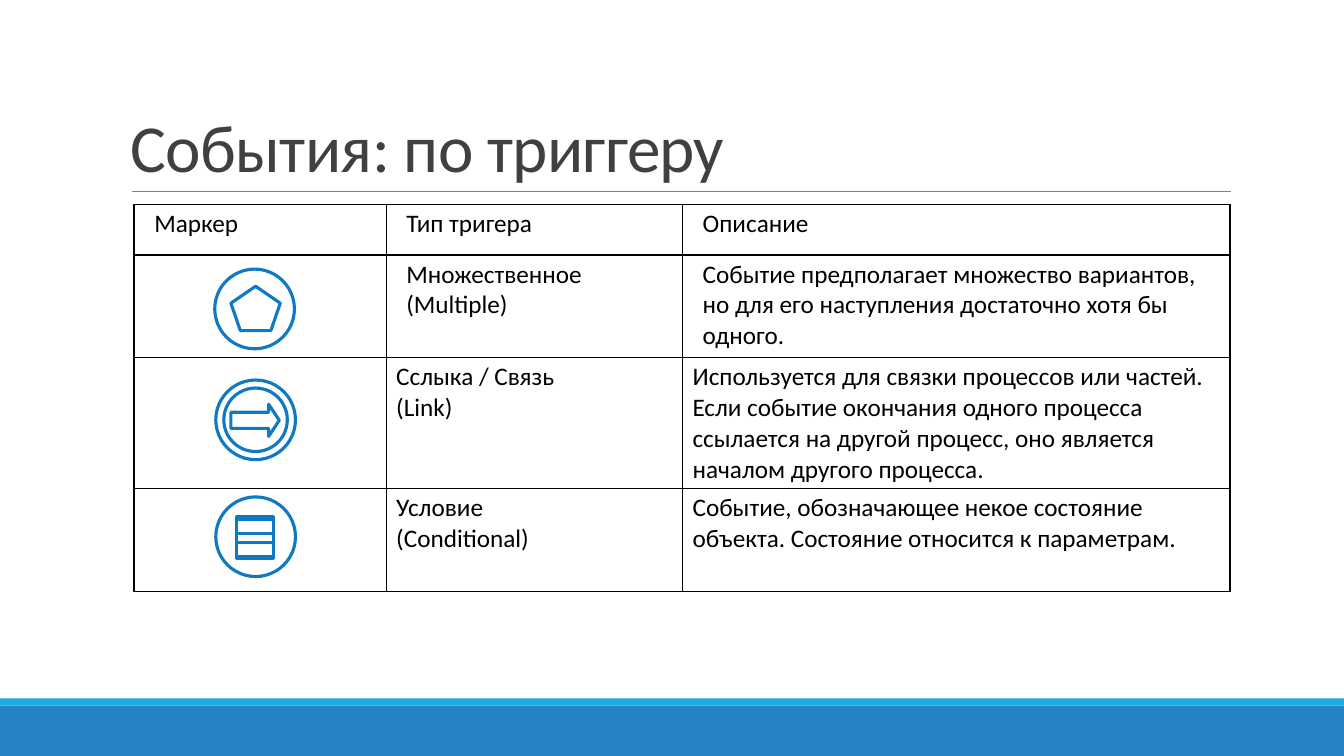
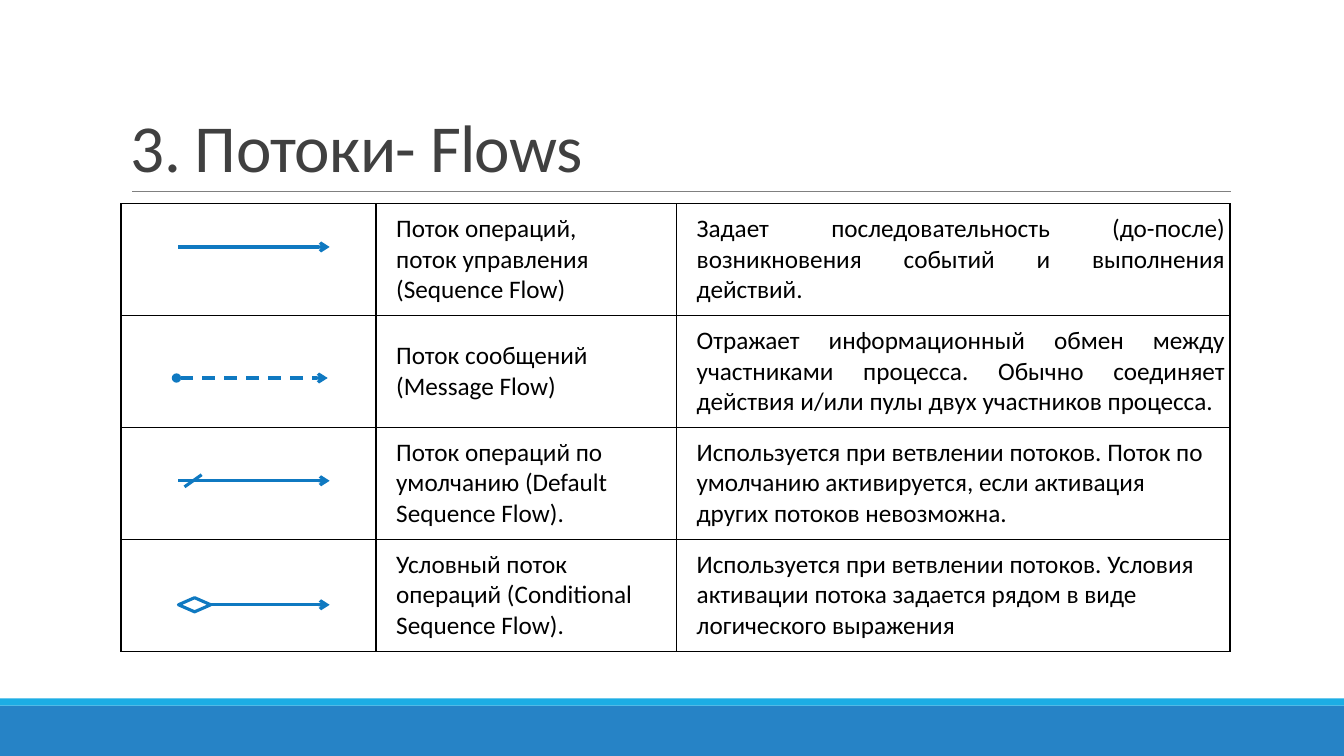
from dataclasses import dataclass

from lxml import etree
from pptx import Presentation
from pptx.dml.color import RGBColor
from pptx.enum.dml import MSO_LINE
from pptx.enum.shapes import MSO_CONNECTOR, MSO_SHAPE
from pptx.enum.text import MSO_ANCHOR, PP_ALIGN
from pptx.oxml.ns import qn
from pptx.util import Inches, Pt

WHITE = RGBColor(0xFF, 0xFF, 0xFF)
BLACK = RGBColor(0x00, 0x00, 0x00)
TITLE_GREY = RGBColor(0x40, 0x40, 0x40)
RULE_GREY = RGBColor(0x80, 0x80, 0x80)
BAND_BLUE = RGBColor(0x26, 0x83, 0xC6)
STRIPE_CYAN = RGBColor(0x1C, 0xAD, 0xE4)
ICON_BLUE = RGBColor(0x0F, 0x79, 0xC1)

RECTANGLE = MSO_SHAPE.RECTANGLE
ELLIPSE = MSO_SHAPE.OVAL
PENTAGON = MSO_SHAPE.REGULAR_PENTAGON
RIGHT_ARROW = MSO_SHAPE.RIGHT_ARROW
DIAMOND = MSO_SHAPE.DIAMOND
STRAIGHT = MSO_CONNECTOR.STRAIGHT
DASH = MSO_LINE.DASH
TOP, MIDDLE, BOTTOM = MSO_ANCHOR.TOP, MSO_ANCHOR.MIDDLE, MSO_ANCHOR.BOTTOM
LEFT, JUSTIFY = PP_ALIGN.LEFT, PP_ALIGN.JUSTIFY

FONT = "Calibri"
PAGE_WIDTH, PAGE_HEIGHT = 13.33, 7.5
ICON_WEIGHT = 2.25
CIRCLE = 0.79


@dataclass
class Row:
    height: float
    texts: tuple[str, ...]
    left: float = 0.2
    right: float = 0.1
    align: PP_ALIGN = LEFT


@dataclass
class Grid:
    left: float
    top: float
    columns: tuple[float, ...]
    rows: tuple[Row, ...]
    anchor: MSO_ANCHOR


@dataclass
class Outline:
    kind: MSO_SHAPE
    left: float
    top: float
    width: float
    height: float


@dataclass
class Stroke:
    start: tuple[float, float]
    end: tuple[float, float]
    color: RGBColor = ICON_BLUE
    weight: float = ICON_WEIGHT
    dashed: bool = False
    head: str = ""
    tail: str = "arrow"


@dataclass
class PageContent:
    title: str
    grid: Grid
    outlines: tuple[Outline, ...]
    strokes: tuple[Stroke, ...] = ()


TITLE_RULE = Stroke((1.31, 1.9), (12.21, 1.9), RULE_GREY, 0.5, tail="")

TRIGGERS = PageContent(
    "События: по триггеру",
    Grid(1.33, 2.03, (2.5, 2.94, 5.43), (
        Row(0.5, ("Маркер", "Тип тригера", "Описание")),
        Row(1.02, ("", "Множественное\n(Multiple)",
                   "Событие предполагает множество вариантов, но для его "
                   "наступления достаточно хотя бы одного."), right=0.19),
        Row(1.3, ("", "Сслыка / Связь\n(Link)",
                  "Используется для связки процессов или частей. Если событие "
                  "окончания одного процесса ссылается на другой процесс, оно "
                  "является началом другого процесса."), left=0.1),
        Row(1.02, ("", "Условие\n(Conditional)",
                   "Событие, обозначающее некое состояние объекта. "
                   "Состояние относится к параметрам."), left=0.1),
    ), TOP),
    (
        Outline(ELLIPSE, 2.13, 2.67, CIRCLE, CIRCLE),
        Outline(PENTAGON, 2.29, 2.84, 0.49, 0.44),
        Outline(ELLIPSE, 2.14, 3.77, CIRCLE, CIRCLE),
        Outline(ELLIPSE, 2.22, 3.85, 0.63, 0.63),
        Outline(RIGHT_ARROW, 2.29, 4.01, 0.48, 0.32),
        Outline(ELLIPSE, 2.14, 4.93, CIRCLE, CIRCLE),
        Outline(RECTANGLE, 2.35, 5.12, 0.36, 0.42),
        Outline(RECTANGLE, 2.35, 5.15, 0.36, 0.14),
        Outline(RECTANGLE, 2.35, 5.38, 0.36, 0.14),
    ),
)

FLOW_HEIGHT = 1.11
FLOWS = PageContent(
    "3. Потоки- Flows",
    Grid(1.2, 2.02, (2.53, 2.98, 5.49), (
        Row(FLOW_HEIGHT, ("", "Поток операций,\nпоток управления\n(Sequence Flow)",
                          "Задает последовательность (до-после) возникновения "
                          "событий и выполнения действий."),
            right=0.05, align=JUSTIFY),
        Row(FLOW_HEIGHT, ("", "Поток сообщений\n(Message Flow)",
                          "Отражает информационный обмен между участниками "
                          "процесса. Обычно соединяет действия и/или пулы двух "
                          "участников процесса."),
            right=0.05, align=JUSTIFY),
        Row(FLOW_HEIGHT, ("", "Поток операций по умолчанию (Default Sequence Flow).",
                          "Используется при ветвлении потоков. Поток по умолчанию "
                          "активируется, если активация других потоков невозможна.")),
        Row(FLOW_HEIGHT, ("", "Условный поток операций (Conditional Sequence Flow).",
                          "Используется при ветвлении потоков. Условия активации "
                          "потока задается рядом в виде логического выражения")),
    ), MIDDLE),
    (Outline(DIAMOND, 1.77, 5.93, 0.32, 0.14),),
    (
        Stroke((1.77, 2.45), (3.27, 2.45)),
        Stroke((1.75, 3.75), (3.25, 3.75), dashed=True, head="oval"),
        Stroke((1.77, 4.77), (3.27, 4.77)),
        Stroke((1.83, 4.83), (2, 4.71), tail=""),
        Stroke((2.08, 6), (3.27, 6)),
    ),
)


def write_text(frame, text: str, *, size: float, color: RGBColor,
               align: PP_ALIGN = LEFT, line_spacing: float = 1.0,
               tracking: float = 0) -> None:
    frame.word_wrap = True
    para = frame.paragraphs[0]
    para.text = text
    para.alignment = align
    para.line_spacing = line_spacing
    for span in para.runs:
        span.font.name = FONT
        span.font.size = Pt(size)
        span.font.color.rgb = color
        if tracking:
            span.font._element.set("spc", str(round(tracking * 100)))


def add_band(page, top: float, height: float, color: RGBColor) -> None:
    band = page.shapes.add_shape(RECTANGLE, 0, Inches(top),
                                 Inches(PAGE_WIDTH), Inches(height))
    band.shadow.inherit = False
    band.fill.solid()
    band.fill.fore_color.rgb = color
    band.line.fill.background()


def add_outline(page, outline: Outline) -> None:
    shape = page.shapes.add_shape(
        outline.kind, Inches(outline.left), Inches(outline.top),
        Inches(outline.width), Inches(outline.height))
    shape.shadow.inherit = False
    shape.fill.background()
    shape.line.color.rgb = ICON_BLUE
    shape.line.width = Pt(ICON_WEIGHT)
    if outline.kind == RIGHT_ARROW:
        shape.adjustments[1] = 0.33


def add_stroke(page, stroke: Stroke) -> None:
    ends = [Inches(value) for value in (*stroke.start, *stroke.end)]
    connector = page.shapes.add_connector(STRAIGHT, *ends)
    connector.line.color.rgb = stroke.color
    connector.line.width = Pt(stroke.weight)
    if stroke.dashed:
        connector.line.dash_style = DASH
    properties = connector._element.spPr
    line = properties.find(qn("a:ln"))
    for tag, kind in (("a:headEnd", stroke.head), ("a:tailEnd", stroke.tail)):
        if kind:
            etree.SubElement(line, qn(tag), type=kind)
    etree.SubElement(properties, qn("a:effectLst"))


def add_borders(cell, color: RGBColor, weight: float) -> None:
    properties = cell._tc.get_or_add_tcPr()
    for side in ("L", "R", "T", "B"):
        line = etree.SubElement(properties, qn(f"a:ln{side}"), w=str(Pt(weight)))
        fill = etree.SubElement(line, qn("a:solidFill"))
        etree.SubElement(fill, qn("a:srgbClr"), val=str(color))


def add_grid(page, grid: Grid) -> None:
    table = page.shapes.add_table(
        len(grid.rows), len(grid.columns), Inches(grid.left), Inches(grid.top),
        Inches(sum(grid.columns)),
        Inches(sum(row.height for row in grid.rows))).table
    table.first_row = False
    table.horz_banding = False
    for index, width in enumerate(grid.columns):
        table.columns[index].width = Inches(width)
    for row_index, row in enumerate(grid.rows):
        table.rows[row_index].height = Inches(row.height)
        for column_index, text in enumerate(row.texts):
            cell = table.cell(row_index, column_index)
            add_borders(cell, BLACK, 1)
            cell.fill.background()
            cell.vertical_anchor = grid.anchor
            cell.margin_left = Inches(row.left)
            cell.margin_right = Inches(row.right)
            cell.margin_top = cell.margin_bottom = Inches(0.04)
            is_description = column_index == len(row.texts) - 1
            write_text(cell.text_frame, text, size=18, color=BLACK,
                       align=row.align if is_description else LEFT)


def add_title(page, text: str) -> None:
    box = page.shapes.add_textbox(Inches(1.2), Inches(0.31), Inches(11), Inches(1.59))
    box.text_frame.vertical_anchor = BOTTOM
    write_text(box.text_frame, text, size=48, color=TITLE_GREY,
               line_spacing=0.85, tracking=-0.5)


def add_page(deck, content: PageContent) -> None:
    page = deck.slides.add_slide(deck.slide_layouts[6])
    page.background.fill.solid()
    page.background.fill.fore_color.rgb = WHITE
    add_band(page, 7, 0.5, BAND_BLUE)
    add_band(page, 6.93, 0.07, STRIPE_CYAN)
    add_stroke(page, TITLE_RULE)
    add_title(page, content.title)
    add_grid(page, content.grid)
    for outline in content.outlines:
        add_outline(page, outline)
    for stroke in content.strokes:
        add_stroke(page, stroke)


def main() -> None:
    deck = Presentation()
    deck.slide_width = Inches(PAGE_WIDTH)
    deck.slide_height = Inches(PAGE_HEIGHT)
    for content in (TRIGGERS, FLOWS):
        add_page(deck, content)
    deck.save("out.pptx")


if __name__ == "__main__":
    main()
